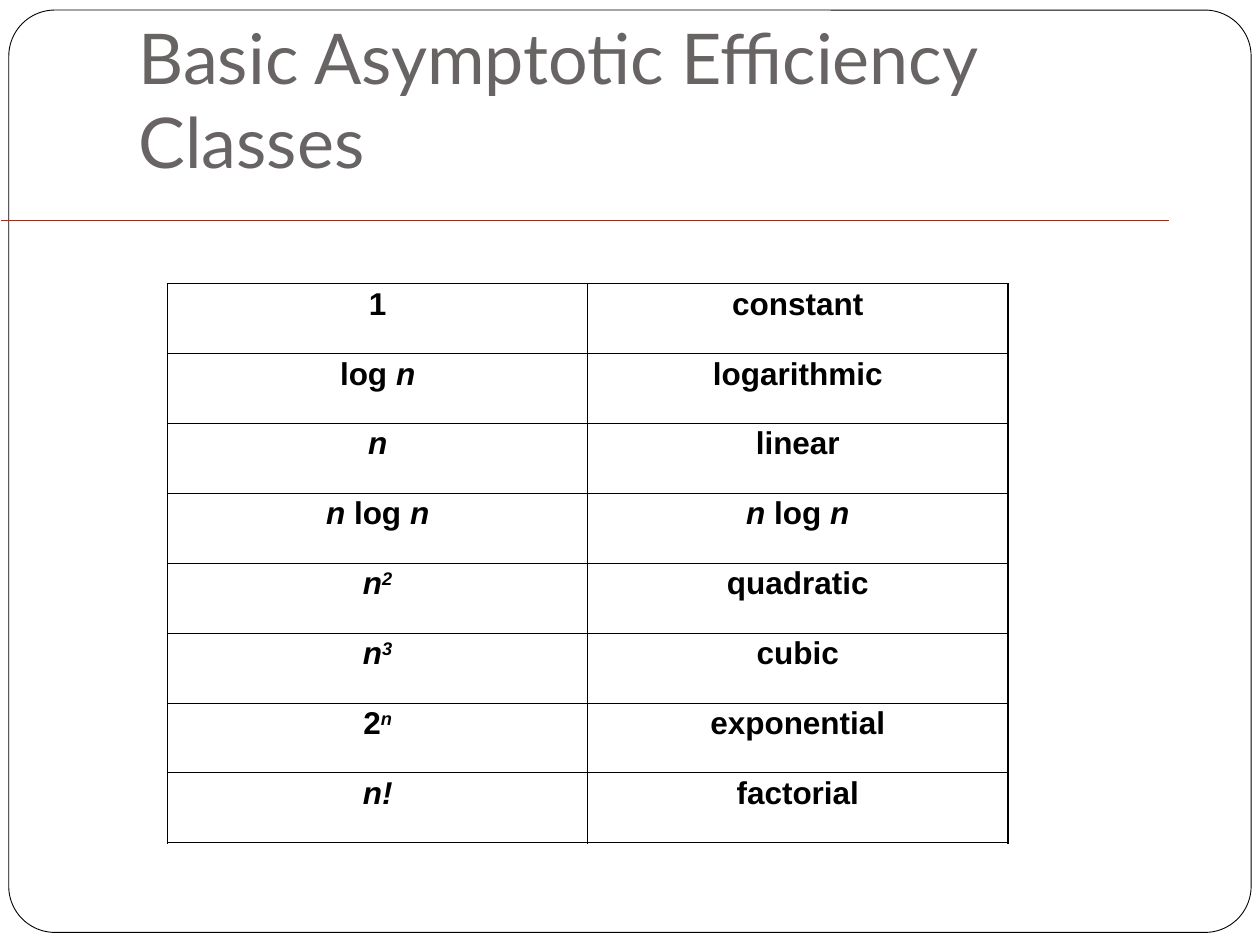
from dataclasses import dataclass

from lxml.etree import SubElement
from pptx import Presentation
from pptx.dml.color import RGBColor
from pptx.enum.shapes import MSO_CONNECTOR, MSO_SHAPE
from pptx.enum.text import MSO_ANCHOR, MSO_AUTO_SIZE, PP_ALIGN
from pptx.oxml.ns import qn
from pptx.util import Inches, Pt


@dataclass(frozen=True)
class Theme:
    background: RGBColor = RGBColor(0xFF, 0xFF, 0xFF)
    ink: RGBColor = RGBColor(0, 0, 0)
    title: RGBColor = RGBColor(0x69, 0x64, 0x64)
    accent: RGBColor = RGBColor(0x9B, 0x2D, 0x1F)
    title_font: str = "Lato"
    table_font: str = "Arial"
    title_size: Pt = Pt(40)
    table_size: Pt = Pt(18)
    outer_border: Pt = Pt(1.08)
    inner_border: Pt = Pt(0.45)


THEME = Theme()

# Text runs: upright, italic and superscript
UPRIGHT, ITALIC, SUPER, ITALIC_SUPER = (
    (False, False), (True, False), (False, True), (True, True))
N_LOG_N = [("n ", ITALIC), ("log ", UPRIGHT), ("n", ITALIC)]
EFFICIENCY_CLASSES = [
    ([("1", UPRIGHT)], [("constant", UPRIGHT)]),
    ([("log ", UPRIGHT), ("n", ITALIC)], [("logarithmic", UPRIGHT)]),
    ([("n", ITALIC)], [("linear", UPRIGHT)]),
    (N_LOG_N, N_LOG_N),
    ([("n", ITALIC), ("2", ITALIC_SUPER)], [("quadratic", UPRIGHT)]),
    ([("n", ITALIC), ("3", ITALIC_SUPER)], [("cubic", UPRIGHT)]),
    ([("2", UPRIGHT), ("n", ITALIC_SUPER)], [("exponential", UPRIGHT)]),
    ([("n!", ITALIC)], [("factorial", UPRIGHT)]),
]


def add_frame(slide):
    frame = slide.shapes.add_shape(
        MSO_SHAPE.ROUNDED_RECTANGLE,
        Inches(0.07), Inches(0.08), Inches(9.86), Inches(7.32))
    frame.adjustments[0] = 0.05
    frame.shadow.inherit = False
    frame.fill.solid()
    frame.fill.fore_color.rgb = THEME.background
    frame.line.color.rgb = THEME.ink
    frame.line.width = Pt(0.5)
    return frame


def add_rule(slide):
    rule = slide.shapes.add_connector(
        MSO_CONNECTOR.STRAIGHT,
        Inches(0.01), Inches(1.75), Inches(9.28), Inches(1.75))
    rule.line.color.rgb = THEME.accent
    rule.line.width = Pt(0.75)
    SubElement(rule.element.spPr, qn("a:effectLst"))
    return rule


def format_title(title, text):
    title.left, title.top = Inches(1), Inches(0.3)
    title.width, title.height = Inches(8.5), Inches(1.25)
    frame = title.text_frame
    frame.text = text
    frame.word_wrap = True
    frame.auto_size = MSO_AUTO_SIZE.NONE
    frame.vertical_anchor = MSO_ANCHOR.BOTTOM
    frame.margin_bottom = Inches(0.1)
    paragraph = frame.paragraphs[0]
    paragraph.alignment = PP_ALIGN.LEFT
    paragraph.font.name = THEME.title_font
    paragraph.font.size = THEME.title_size
    paragraph.font.color.rgb = THEME.title


def set_borders(cell, outer_sides):
    properties = cell._tc.get_or_add_tcPr()
    for side in "LRTB":
        width = THEME.outer_border if side in outer_sides else THEME.inner_border
        line = SubElement(properties, qn(f"a:ln{side}"), w=str(int(width)))
        fill = SubElement(line, qn("a:solidFill"))
        SubElement(fill, qn("a:srgbClr"), val=str(THEME.ink))


def write_cell(cell, runs):
    paragraph = cell.text_frame.paragraphs[0]
    paragraph.alignment = PP_ALIGN.CENTER
    paragraph.line_spacing = 0.9
    paragraph.space_before = Pt(16.9)
    for text, (italic, superscript) in runs:
        run = paragraph.add_run()
        run.text = text
        font = run.font
        font.name = THEME.table_font
        font.size = THEME.table_size
        font.color.rgb = THEME.ink
        font.bold, font.italic = True, italic
        if superscript:
            run._r.get_or_add_rPr().set("baseline", "30000")


def add_class_table(slide, rows):
    row_count, column_count = len(rows), len(rows[0])
    table = slide.shapes.add_table(
        row_count, column_count,
        Inches(1.33), Inches(2.25), Inches(6.67), Inches(4.44)).table
    table.first_row = table.horz_banding = False
    for row_index, row in enumerate(rows):
        for column_index, runs in enumerate(row):
            cell = table.cell(row_index, column_index)
            outer_sides = "L" if column_index == 0 else "R"
            if row_index == 0:
                outer_sides += "T"
            if row_index == row_count - 1:
                outer_sides += "B"
            set_borders(cell, outer_sides)
            cell.fill.background()
            write_cell(cell, runs)


def main():
    presentation = Presentation()
    presentation.slide_width, presentation.slide_height = Inches(10), Inches(7.5)
    slide = presentation.slides.add_slide(presentation.slide_layouts[5])

    # Frame and rule, placed behind the title
    title = slide.shapes.title
    for backdrop in (add_frame(slide), add_rule(slide)):
        title.element.addprevious(backdrop.element)

    # Title
    format_title(title, "Basic Asymptotic Efficiency Classes")

    # Efficiency classes
    add_class_table(slide, EFFICIENCY_CLASSES)

    presentation.save("out.pptx")


if __name__ == "__main__":
    main()
